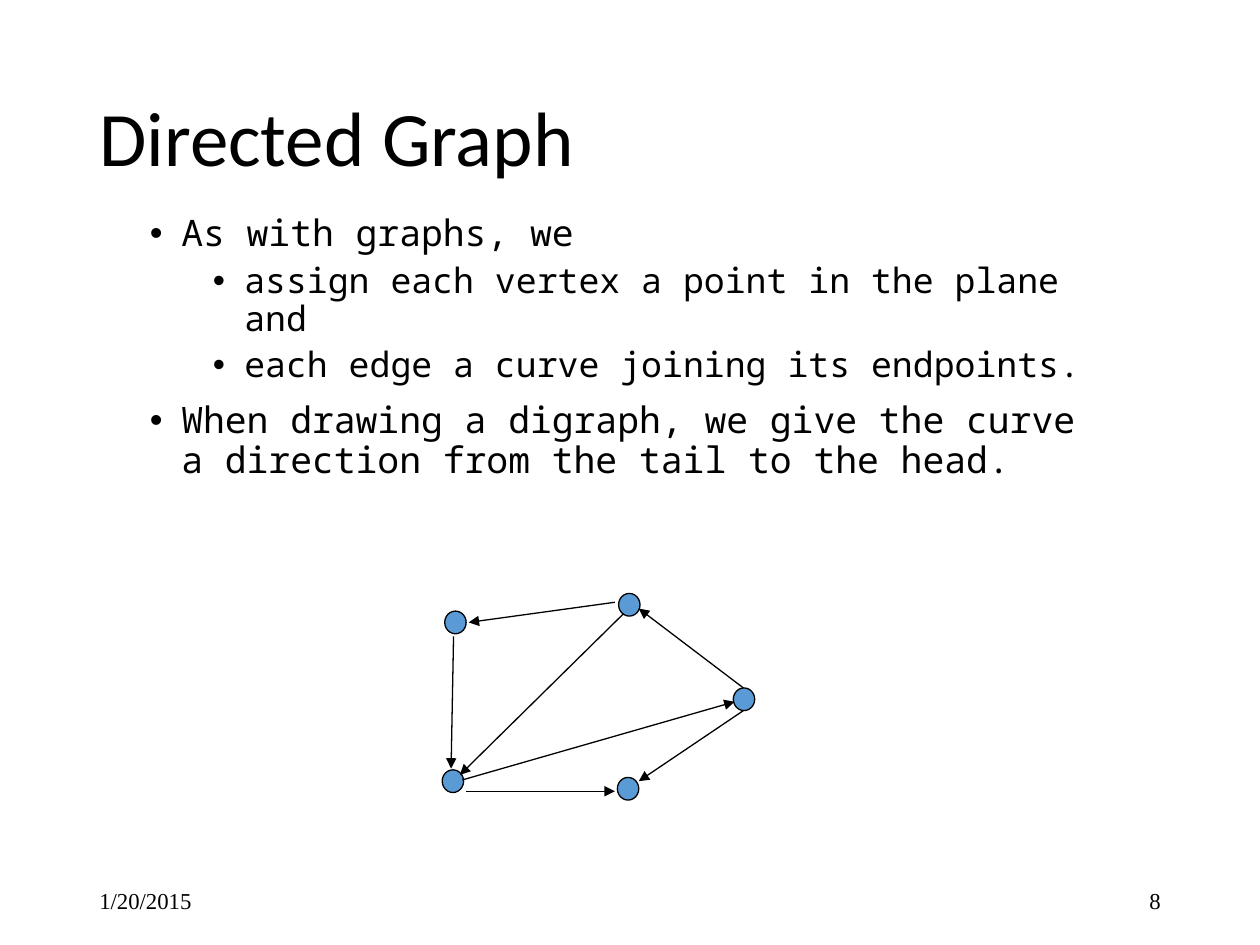
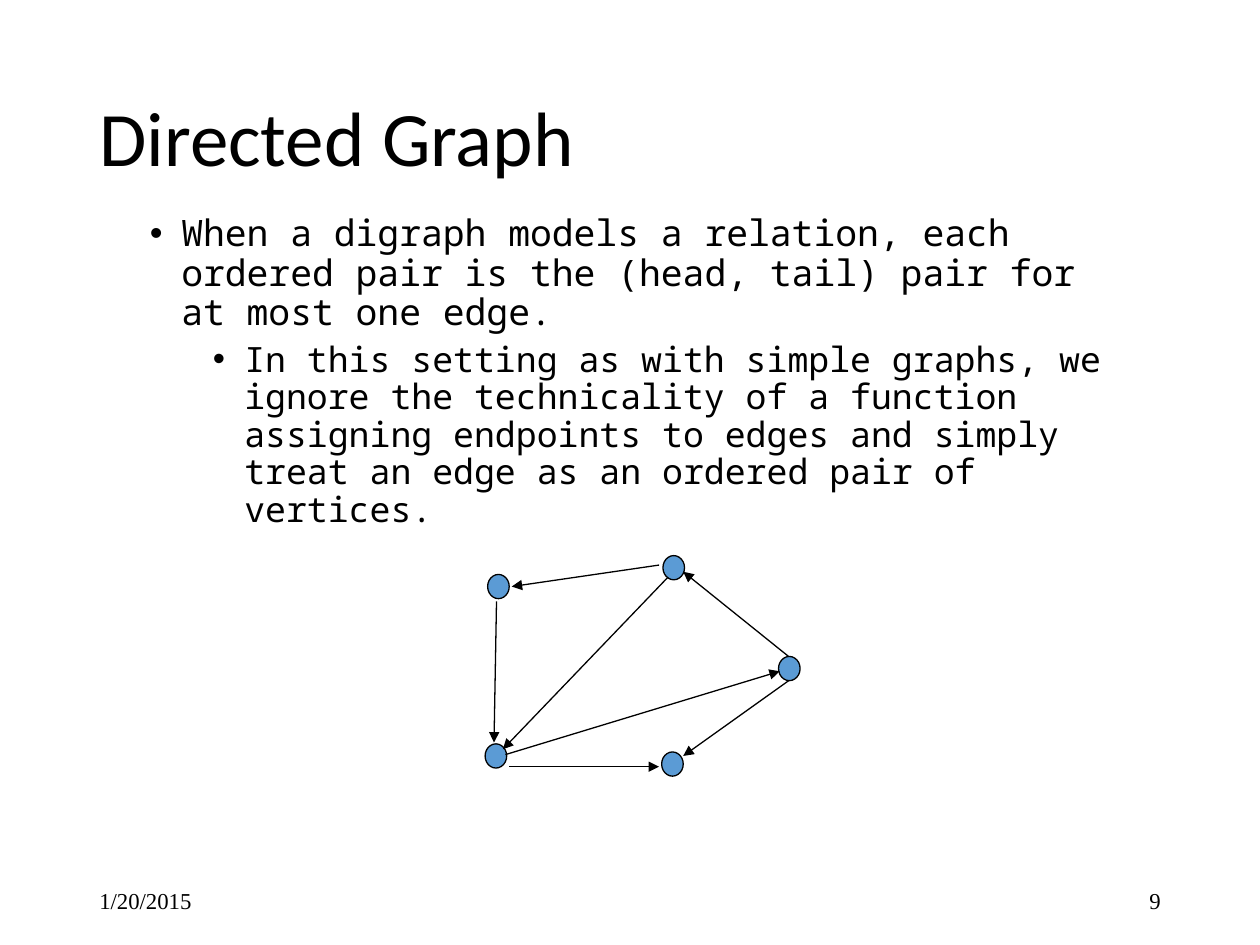
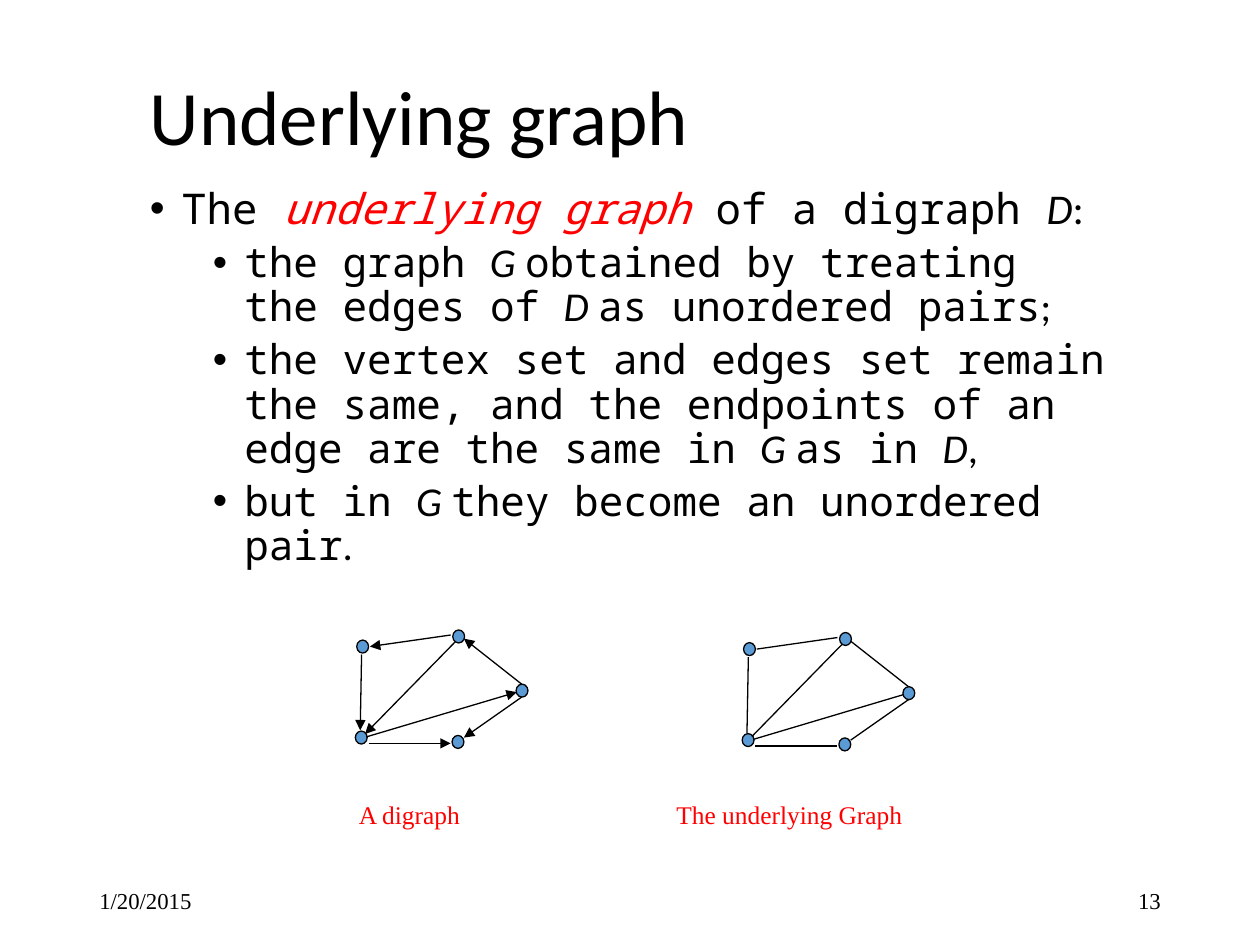
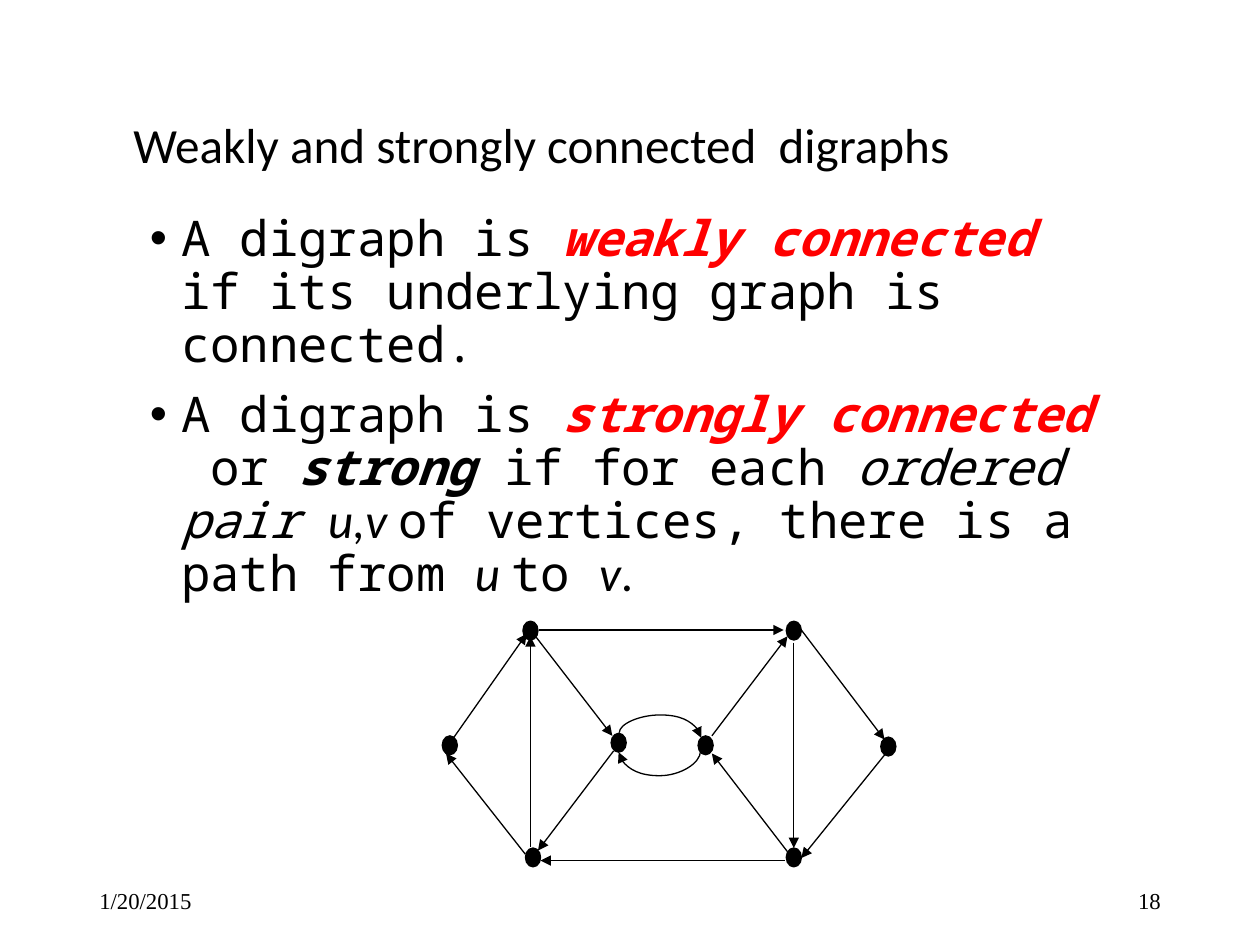
from lxml.etree import SubElement
from pptx import Presentation
from pptx.dml.color import RGBColor
from pptx.enum.shapes import MSO_CONNECTOR, MSO_SHAPE
from pptx.enum.text import MSO_ANCHOR, PP_ALIGN
from pptx.oxml.ns import qn
from pptx.util import Inches, Pt

COLORS = {"ink": "000000", "accent": "FF0000", "vertex": "5B9BD5"}
SANS, MONO, SERIF = "Calibri", "Noto Sans Mono", "Times New Roman"

STYLES = {
    "plain": {},
    "math": {"font": SANS, "italic": True},
    "sans": {"font": SANS},
    "italic": {"italic": True},
    "term": {"color": "accent", "italic": True},
    "strong": {"bold": True, "italic": True},
    "key": {"color": "accent", "bold": True, "italic": True},
}

DATE = "1/20/2015"
DATE_BOX = (0.69, 6.95, 2.25, 0.4)
NUMBER_BOX = (7.06, 6.95, 2.25, 0.4)
TITLE_BOX = (0.69, 0.4, 8.62, 1.45)

SLIDES = [
    {
        "number": "8", "title": "Directed Graph",
        "body_box": (1.09, 1.66, 7.82, 2.7), "sizes": (20.8, 19.9),
        "body": [
            (0, "As with graphs, we"),
            (1, "assign each vertex a point in the plane and"),
            (1, "each edge a curve joining its endpoints."),
            (0, "When drawing a digraph, we give the curve a direction from the tail to the head."),
        ],
        "digraphs": [((3.51, 4.71, 2.48, 1.64), True)],
    },
    {
        "number": "9", "title": "Directed Graph",
        "body_box": (1.09, 1.66, 7.82, 2.62), "sizes": (20.8, 19.9),
        "body": [
            (0, "When a digraph models a relation, each ordered pair is the (head, tail) pair "
                "for at most one edge."),
            (1, "In this setting as with simple graphs, we ignore the technicality of a function "
                "assigning endpoints to edges and simply treat an edge as an ordered pair of vertices."),
        ],
        "digraphs": [((3.85, 4.41, 2.5, 1.75), True)],
    },
    {
        "number": "13", "title": "Underlying graph", "title_box": (1.09, 0.42, 7.82, 1.07),
        "body_box": (1.09, 1.44, 7.82, 3.18), "sizes": (24.2, 23.4),
        "body": [
            (0, [("The ", "plain"), ("underlying graph ", "term"), ("of a digraph ", "plain"),
                 ("D", "math"), (":", "sans")]),
            (1, [("the graph ", "plain"), ("G ", "math"),
                 ("obtained by treating the edges of ", "plain"), ("D ", "math"),
                 ("as unordered pairs", "plain"), (";", "sans")]),
            (1, [("the vertex set and edges set remain the same, and the endpoints of an edge "
                  "are the same in ", "plain"), ("G ", "math"), ("as in ", "plain"),
                 ("D", "math"), (",", "sans")]),
            (1, [("but in ", "plain"), ("G ", "math"),
                 ("they become an unordered pair", "plain"), (".", "sans")]),
        ],
        "digraphs": [((2.82, 5, 1.37, 0.94), True), ((5.89, 5.02, 1.37, 0.94), False)],
        "captions": [("The underlying Graph", (5.27, 6.09, 2.54, 0.38)),
                     ("A digraph", (2.75, 6.09, 1.89, 0.38))],
    },
    {
        "number": "18", "title": "Weakly and strongly connected  digraphs",
        "title_box": (0.96, 0.67, 8.05, 1), "title_size": 28.1,
        "body_box": (1.09, 1.65, 7.82, 2.79), "sizes": (28, 28),
        "body": [
            (0, [("A digraph is ", "plain"), ("weakly connected  ", "key"),
                 ("if its underlying graph is connected.", "plain")]),
            (0, [("A digraph is ", "plain"), ("strongly connected  ", "key"), ("or ", "plain"),
                 ("strong", "strong"), (" if for each ", "plain"), ("ordered pair ", "italic"),
                 ("u,v ", "math"), ("of vertices, there is a path from ", "plain"),
                 ("u ", "math"), ("to ", "plain"), ("v", "math"), (".", "sans")]),
        ],
        "strong_digraph": True,
    },
]

PENTAGON_SIZE = (2.48, 1.64)
PENTAGON_VERTEX = (0.17, 0.18)
PENTAGON_VERTICES = [(0.02, 0.14), (0, 1.4), (1.39, 1.46), (2.31, 0.75), (1.4, 0)]
PENTAGON_EDGES = [
    ((0.16, 1.48), (2.32, 0.86)),
    ((0.19, 1.57), (1.37, 1.57)),
    ((1.37, 0.07), (0.21, 0.23)),
    ((0.09, 0.34), (0.07, 1.39)),
    ((2.39, 0.93), (1.56, 1.49)),
    ((2.39, 0.75), (1.56, 0.12)),
    ((1.44, 0.16), (0.14, 1.44)),
]

STRONG_VERTEX = (0.12, 0.15)
STRONG_VERTICES = [(3.51, 5.84), (4.15, 4.93), (4.17, 6.73), (6.24, 6.73),
                   (6.24, 4.93), (4.85, 5.82), (5.54, 5.84), (6.99, 5.85)]
STRONG_EDGES = [
    ((4.28, 5), (6.22, 5)), ((6.23, 6.83), (4.29, 6.83)),
    ((6.3, 5.1), (6.3, 6.73)), ((4.21, 6.72), (4.21, 5.05)),
    ((4.25, 5.05), (4.86, 5.84)), ((4.87, 5.96), (4.27, 6.75)),
    ((5.65, 5.84), (6.25, 5.05)), ((6.25, 6.76), (5.65, 5.98)),
    ((3.59, 5.87), (4.18, 5.03)), ((4.17, 6.78), (3.54, 5.98)),
    ((6.36, 5), (7.02, 5.87)), ((7.03, 5.98), (6.36, 6.81)),
]
STRONG_ARCS = [((5.22, 6.16), (5.26, 5.51), -3.5), ((5.23, 5.64), (5.24, 6.29), 20)]


def add_bullet(paragraph, level):
    properties = paragraph._p.get_or_add_pPr()
    properties.set("marL", str(Inches(0.25 + 0.5 * level)))
    properties.set("indent", str(Inches(-0.25)))
    SubElement(properties, qn("a:buFont")).set("typeface", "Arial")
    SubElement(properties, qn("a:buChar")).set("char", "•")


def add_text(slide, box, text, sizes=(13,), font=SERIF, color="ink", align=PP_ALIGN.LEFT,
             anchor=MSO_ANCHOR.MIDDLE, line_spacing=None, bullets=False, baseline=None):
    frame = slide.shapes.add_textbox(*map(Inches, box)).text_frame
    frame.word_wrap = True
    frame.vertical_anchor = anchor
    for index, (level, content) in enumerate([(0, text)] if isinstance(text, str) else text):
        paragraph = frame.add_paragraph() if index else frame.paragraphs[0]
        paragraph.level = level
        paragraph.alignment = align
        if line_spacing:
            paragraph.line_spacing = line_spacing
        if index:
            paragraph.space_before = Pt(5 if level else 10)
        if bullets:
            add_bullet(paragraph, level)
        for words, style_name in [(content, "plain")] if isinstance(content, str) else content:
            style = STYLES[style_name]
            run = paragraph.add_run()
            run.text = words
            run.font.name = style.get("font", font)
            run.font.size = Pt(sizes[level])
            run.font.bold = style.get("bold", False)
            run.font.italic = style.get("italic", False)
            run.font.color.rgb = RGBColor.from_string(COLORS[style.get("color", color)])
            if baseline:
                run._r.get_or_add_rPr().set("baseline", str(baseline))


def set_outline(line):
    line.color.rgb = RGBColor.from_string(COLORS["ink"])
    line.width = Pt(0.75)


def add_vertex(slide, corner, size, fill):
    vertex = slide.shapes.add_shape(MSO_SHAPE.OVAL, *map(Inches, (*corner, *size)))
    vertex.shadow.inherit = False
    vertex.fill.solid()
    vertex.fill.fore_color.rgb = RGBColor.from_string(COLORS[fill])
    set_outline(vertex.line)


def add_edge(slide, start, end, directed=True, kind=MSO_CONNECTOR.STRAIGHT):
    edge = slide.shapes.add_connector(kind, *map(Inches, (*start, *end)))
    set_outline(edge.line)
    if directed:
        SubElement(edge.line._get_or_add_ln(), qn("a:tailEnd")).set("type", "triangle")
    SubElement(edge._element.spPr, qn("a:effectLst"))
    return edge


def add_arc(slide, start, end, bulge):
    properties = add_edge(slide, start, end, kind=MSO_CONNECTOR.CURVE)._element.spPr
    properties.find(qn("a:xfrm")).set("rot", str(90 * 60000))
    guide = SubElement(properties.find(qn("a:prstGeom")).find(qn("a:avLst")), qn("a:gd"))
    guide.set("name", "adj1")
    guide.set("fmla", f"val {int(bulge * 100000)}")


def add_pentagon(slide, box, directed):
    left, top, width, height = box
    x_scale, y_scale = width / PENTAGON_SIZE[0], height / PENTAGON_SIZE[1]

    def place(point):
        return left + point[0] * x_scale, top + point[1] * y_scale

    size = (PENTAGON_VERTEX[0] * x_scale, PENTAGON_VERTEX[1] * y_scale)
    for corner in PENTAGON_VERTICES:
        add_vertex(slide, place(corner), size, "vertex")
    for start, end in PENTAGON_EDGES:
        add_edge(slide, place(start), place(end), directed)


def add_strong_digraph(slide):
    for corner in STRONG_VERTICES:
        add_vertex(slide, corner, STRONG_VERTEX, "ink")
    for start, end in STRONG_EDGES:
        add_edge(slide, start, end)
    for start, end, bulge in STRONG_ARCS:
        add_arc(slide, start, end, bulge)


def main():
    deck = Presentation()
    deck.slide_width, deck.slide_height = Inches(10), Inches(7.5)
    for content in SLIDES:
        slide = deck.slides.add_slide(deck.slide_layouts[6])
        add_text(slide, DATE_BOX, DATE)
        add_text(slide, NUMBER_BOX, content["number"], align=PP_ALIGN.RIGHT)
        add_text(slide, content.get("title_box", TITLE_BOX), content["title"],
                 sizes=(content.get("title_size", 44),), font=SANS, line_spacing=0.9)
        add_text(slide, content["body_box"], content["body"], sizes=content["sizes"],
                 font=MONO, anchor=MSO_ANCHOR.TOP, line_spacing=0.9, bullets=True)
        for box, directed in content.get("digraphs", []):
            add_pentagon(slide, box, directed)
        for caption, box in content.get("captions", []):
            add_text(slide, box, caption, sizes=(25.1,), color="accent",
                     anchor=MSO_ANCHOR.TOP, baseline=-16000)
        if content.get("strong_digraph"):
            add_strong_digraph(slide)
    deck.save("out.pptx")


if __name__ == "__main__":
    main()
